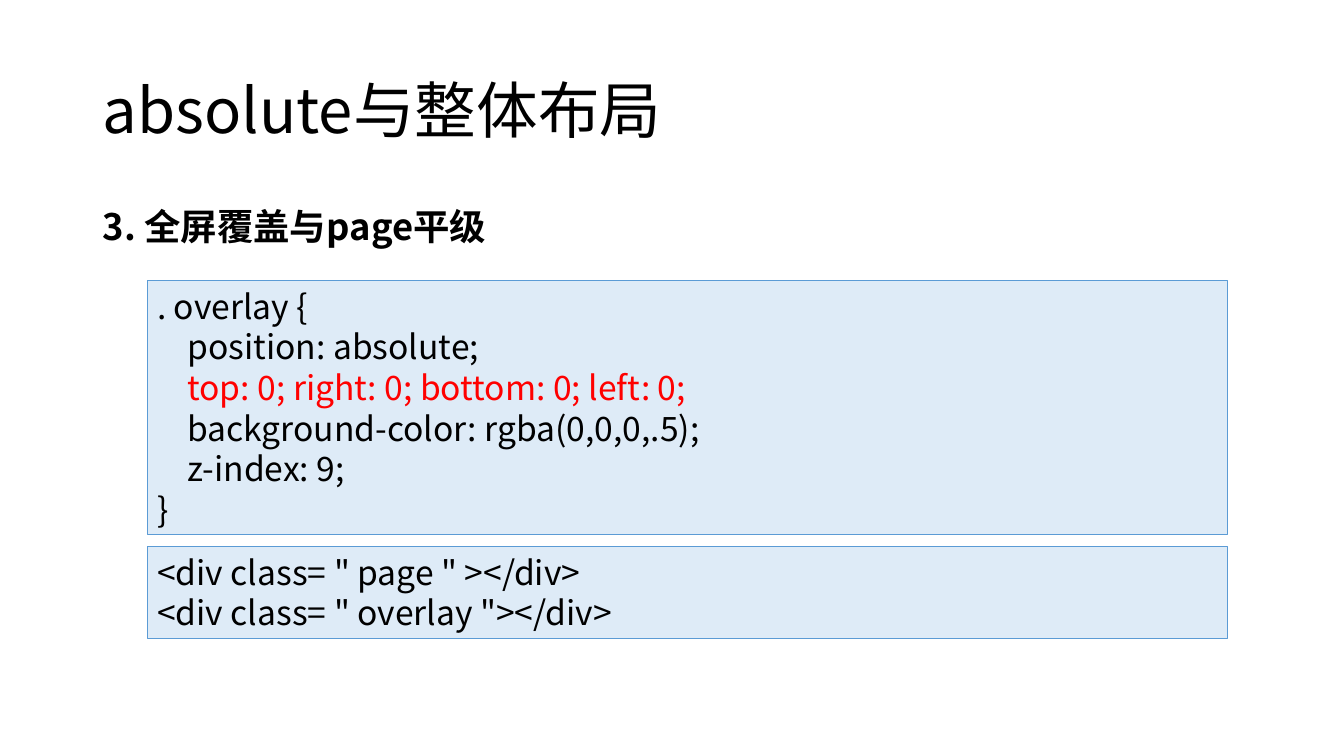
import pptx
import pptx.dml.color
import pptx.enum.shapes
import pptx.enum.text
import pptx.oxml
import pptx.oxml.ns
import pptx.util
from dataclasses import dataclass

WIDTH = pptx.util.Inches(13.33)
HEIGHT = pptx.util.Inches(7.5)


@dataclass(frozen=True)
class Theme:
    font: str = "Noto Sans CJK SC"
    ink: str = "000000"
    accent: str = "FF0000"
    panel: str = "DEEBF7"
    border: str = "5B9BD5"
    title_size: int = 44
    heading_size: int = 26
    code_size: int = 24
    line_pitch: float = 1.21
    code_indent: float = 0.3


THEME = Theme()

# Shares of the slide's width (columns) and height (rows)
MARGIN, CONTENT_WIDTH = 0.069, 0.8627
PANEL_LEFT, PANEL_WIDTH = 0.1095, 0.8035

OVERLAY_CSS = [
    ". overlay {",
    "\tposition: absolute;",
    "\ttop: 0; right: 0; bottom: 0; left: 0;",
    "\tbackground-color: rgba(0,0,0,.5);",
    "\tz-index: 9;",
    "}",
]
PAGE_HTML = ['<div class= " page " ></div>', '<div class= " overlay "></div>']


def color(value):
    return pptx.dml.color.RGBColor.from_string(value)


def box(left, top, width, height):
    """Turn shares of the slide into lengths."""
    return (int(left * WIDTH), int(top * HEIGHT),
            int(width * WIDTH), int(height * HEIGHT))


def format_paragraph(paragraph, size, ink=THEME.ink, bold=False):
    paragraph.alignment = pptx.enum.text.PP_ALIGN.LEFT
    for run in paragraph.runs:
        run.font.name = THEME.font
        run.font.size = pptx.util.Pt(size)
        run.font.bold = bold
        run.font.color.rgb = color(ink)
        # East Asian typeface
        east_asian = pptx.oxml.parse_xml(
            f'<a:ea {pptx.oxml.ns.nsdecls("a")} typeface="{THEME.font}"/>')
        run.font._element.find(pptx.oxml.ns.qn("a:latin")).addnext(east_asian)


def add_title(slide, text):
    title = slide.shapes.title
    title.left, title.top, title.width, title.height = box(
        MARGIN, 0.0533, CONTENT_WIDTH, 0.1933)
    frame = title.text_frame
    frame.text = text
    frame.auto_size = pptx.enum.text.MSO_AUTO_SIZE.NONE
    frame.vertical_anchor = pptx.enum.text.MSO_ANCHOR.MIDDLE
    frame.paragraphs[0].line_spacing = 0.9
    format_paragraph(frame.paragraphs[0], THEME.title_size)


def add_heading(slide, text, top, height):
    heading = slide.shapes.add_textbox(*box(MARGIN, top, CONTENT_WIDTH, height))
    frame = heading.text_frame
    frame.word_wrap = True
    frame.text = text
    paragraph = frame.paragraphs[0]
    paragraph.line_spacing = pptx.util.Pt(THEME.heading_size * THEME.line_pitch)
    format_paragraph(paragraph, THEME.heading_size, bold=True)


def add_code_panel(slide, lines, top, height, highlight=None):
    """Draw a code panel; a leading tab in a line means one indent step."""
    panel = slide.shapes.add_shape(
        pptx.enum.shapes.MSO_SHAPE.RECTANGLE,
        *box(PANEL_LEFT, top, PANEL_WIDTH, height))
    panel.shadow.inherit = False
    panel.fill.solid()
    panel.fill.fore_color.rgb = color(THEME.panel)
    panel.line.color.rgb = color(THEME.border)
    panel.line.width = pptx.util.Pt(0.75)

    frame = panel.text_frame
    frame.word_wrap = True
    frame.vertical_anchor = pptx.enum.text.MSO_ANCHOR.TOP
    frame.text = "\n".join(line.strip("\t") for line in lines)
    for index, (line, paragraph) in enumerate(zip(lines, frame.paragraphs)):
        paragraph.line_spacing = pptx.util.Pt(THEME.code_size * THEME.line_pitch)
        ink = THEME.accent if index == highlight else THEME.ink
        format_paragraph(paragraph, THEME.code_size, ink)
        if line.startswith("\t"):
            indent = pptx.util.Inches(THEME.code_indent)
            paragraph._p.get_or_add_pPr().set("marL", str(indent))


def main():
    presentation = pptx.Presentation()
    presentation.slide_width, presentation.slide_height = WIDTH, HEIGHT
    slide = presentation.slides.add_slide(presentation.slide_layouts[5])

    # Title and numbered heading
    add_title(slide, "absolute与整体布局")
    add_heading(slide, "3. 全屏覆盖与page平级", top=0.2627, height=0.072)

    # Style rule and the markup it applies to
    add_code_panel(slide, OVERLAY_CSS, top=0.3707, height=0.336, highlight=2)
    add_code_panel(slide, PAGE_HTML, top=0.7227, height=0.1213)

    presentation.save("out.pptx")


if __name__ == "__main__":
    main()
